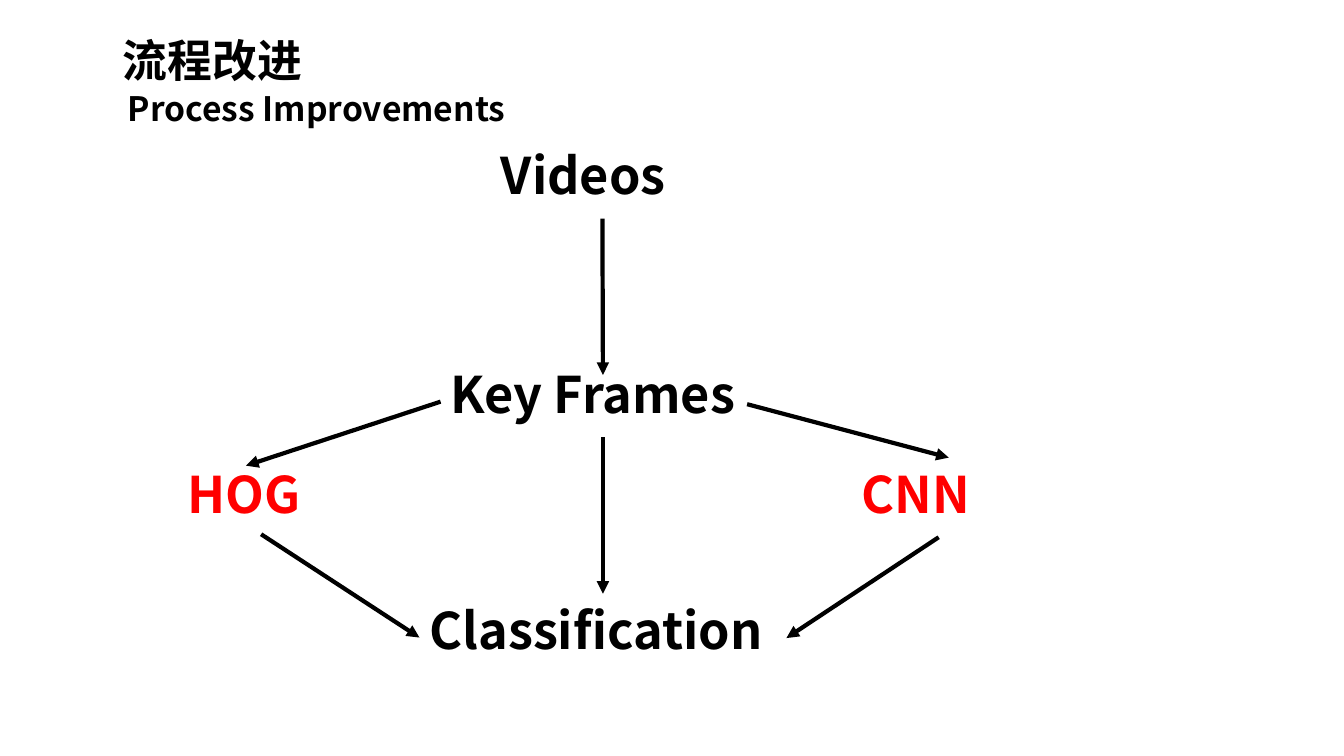
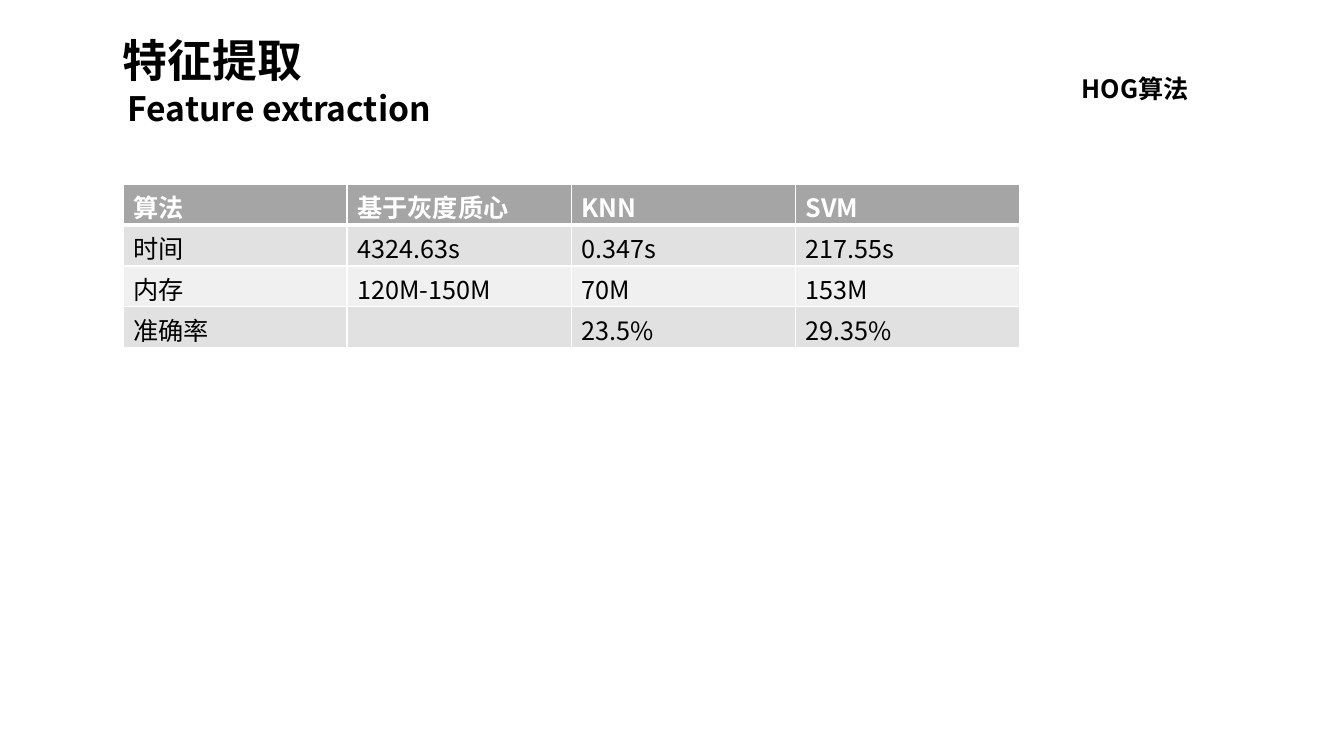
from dataclasses import dataclass

from lxml import etree
from pptx import Presentation
from pptx import util as u
from pptx.dml.color import RGBColor
from pptx.enum import shapes, text
from pptx.oxml.ns import qn

SCALE = 9144  # EMU in one px, 100 px to the inch
TOP, LEFT, BOTTOM = 0, 1, 2


def px(length):
    return u.Emu(round(length * SCALE))


@dataclass(frozen=True)
class Theme:
    ink: str = "000000"
    accent: str = "FF0000"
    paper: str = "FFFFFF"
    header: str = "A5A5A5"
    bands: tuple = ("E1E1E1", "F0F0F0")
    font: str = "Noto Sans CJK JP"
    table_font: str = "Noto Sans CJK SC"
    title: int = 32
    subtitle: int = 24
    node: int = 36
    body: int = 18
    leading: float = 0.88
    arrow: int = 3


THEME = Theme()


def write(frame, content, size=THEME.body, color=THEME.ink, bold=True,
          font=THEME.font, align=text.PP_ALIGN.LEFT, leading=None):
    """Put one formatted paragraph into a text frame."""
    paragraph = frame.paragraphs[0]
    paragraph.alignment = align
    paragraph.line_spacing = leading
    run = paragraph.add_run()
    run.text = content
    run.font.size, run.font.bold, run.font.name = u.Pt(size), bold, font
    run.font.color.rgb = RGBColor.from_string(color)
    etree.SubElement(run.font._element, qn("a:ea"), typeface=font)


class Deck:
    def __init__(self, theme):
        self.theme = theme
        self.show = Presentation()
        self.show.slide_width, self.show.slide_height = px(1333), px(750)
        self.slide = None

    def new_slide(self, title, subtitle):
        self.slide = self.show.slides.add_slide(self.show.slide_layouts[6])
        self.label(title, 112, 34, 314, 64, size=self.theme.title)
        self.label(subtitle, 117, 88, 517, 50, size=self.theme.subtitle)

    def label(self, content, left, top, width, height, **style):
        box = self.slide.shapes.add_textbox(px(left), px(top), px(width), px(height))
        box.text_frame.word_wrap = True
        box.text_frame.auto_size = text.MSO_AUTO_SIZE.NONE
        write(box.text_frame, content, leading=self.theme.leading, **style)
        return box

    def node(self, content, left, top, width, color=THEME.ink):
        return self.label(content, left, top, width, 71,
                          size=self.theme.node, color=color)

    def arrow(self, start, end, source=None, target=None):
        """Draw an arrow; source and target are (shape, side) pairs to join."""
        line = self.slide.shapes.add_connector(
            shapes.MSO_CONNECTOR.STRAIGHT, *map(px, start + end))
        if source:
            line.begin_connect(*source)
        if target:
            line.end_connect(*target)
        line.line.width = u.Pt(self.theme.arrow)
        line.line.color.rgb = RGBColor.from_string(self.theme.ink)
        etree.SubElement(line.line._get_or_add_ln(), qn("a:tailEnd"), type="triangle")
        etree.SubElement(line._element.spPr, qn("a:effectLst"))

    def border(self, cell, side, points):
        edge = etree.SubElement(cell._tc.get_or_add_tcPr(), qn(f"a:ln{side}"),
                                w=str(u.Pt(points)))
        fill = etree.SubElement(edge, qn("a:solidFill"))
        etree.SubElement(fill, qn("a:srgbClr"), val=self.theme.paper)

    def table(self, rows, left, top, width, height):
        grid = self.slide.shapes.add_table(
            len(rows), len(rows[0]), px(left), px(top), px(width), px(height)).table
        for r, row in enumerate(rows):
            is_header = r == 0
            fill = self.theme.header if is_header else self.theme.bands[(r - 1) % 2]
            for c, value in enumerate(row):
                cell = grid.cell(r, c)
                cell.margin_top, cell.margin_bottom = px(4), px(0)
                for side in "LRTB":
                    heavy = (r, side) in ((0, "B"), (1, "T"))
                    self.border(cell, side, 3 if heavy else 1)
                cell.fill.solid()
                cell.fill.fore_color.rgb = RGBColor.from_string(fill)
                write(cell.text_frame, value, font=self.theme.table_font, bold=is_header,
                      color=self.theme.paper if is_header else self.theme.ink)


def process_slide(deck):
    deck.new_slide("流程改进", "Process Improvements")

    # Stages and the two feature methods
    videos = deck.node("Videos", 487, 146, 221)
    key_frames = deck.node("Key Frames", 437, 363, 372)
    classification = deck.node("Classification", 416, 597, 414)
    deck.node("CNN", 845, 462, 372, color=deck.theme.accent)
    deck.node("HOG", 176, 462, 372, color=deck.theme.accent)

    # Main flow
    deck.arrow((598, 217), (598, 372), source=(videos, BOTTOM))
    deck.arrow((598, 434), (598, 589))

    # Branches through HOG and CNN
    deck.arrow((437, 398), (244, 462), source=(key_frames, LEFT))
    deck.arrow((259, 530), (416, 633), target=(classification, LEFT))
    deck.arrow((741, 401), (941, 454))
    deck.arrow((931, 533), (780, 633))


def feature_slide(deck):
    deck.new_slide("特征提取", "Feature extraction")
    deck.label("HOG算法", 904, 72, 285, 40, align=text.PP_ALIGN.RIGHT)

    # Comparison of the algorithms
    deck.table([
        ("算法", "基于灰度质心", "KNN", "SVM"),
        ("时间", "4324.63s", "0.347s", "217.55s"),
        ("内存", "120M-150M", "70M", "153M"),
        ("准确率", "", "23.5%", "29.35%"),
    ], 122, 183, 889, 162)


def main():
    deck = Deck(THEME)
    process_slide(deck)
    feature_slide(deck)
    deck.show.save("out.pptx")


if __name__ == "__main__":
    main()
